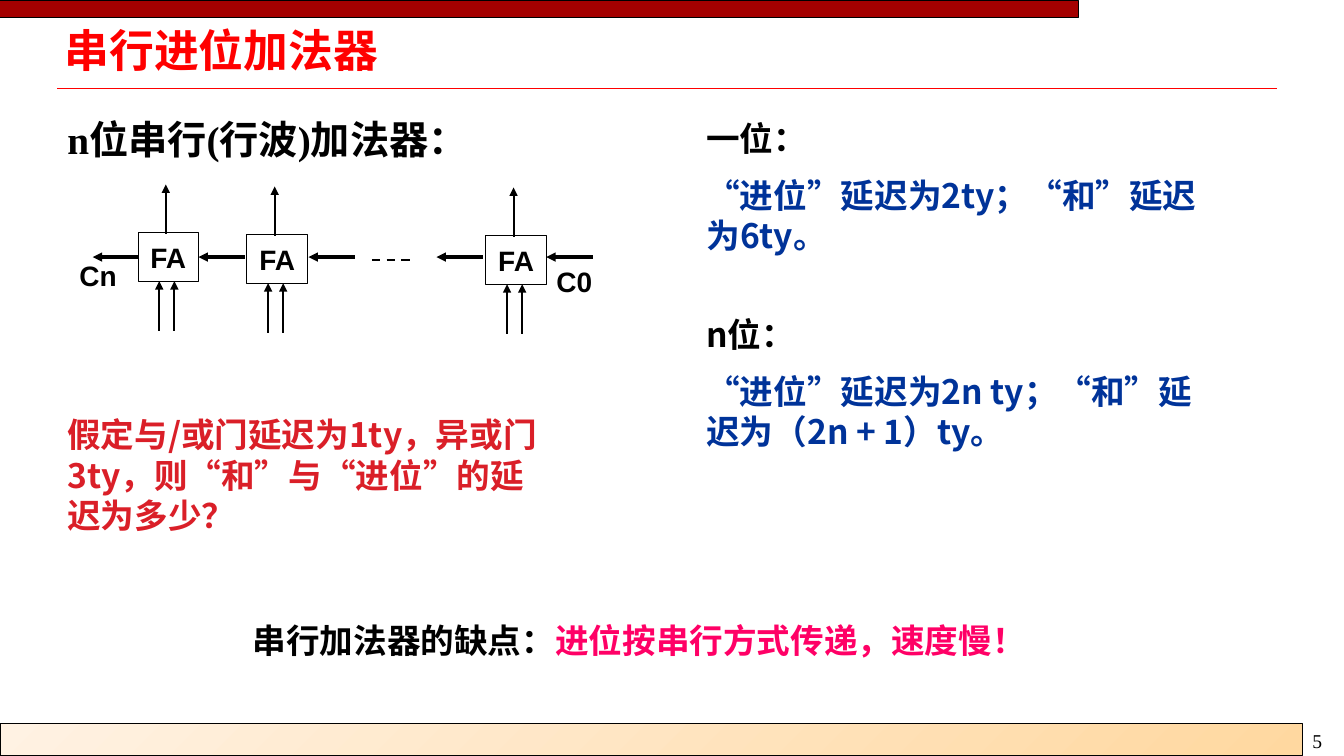
from dataclasses import dataclass

from lxml import etree
from pptx import Presentation
from pptx.dml.color import RGBColor
from pptx.enum.dml import MSO_LINE
from pptx.enum.shapes import MSO_CONNECTOR, MSO_SHAPE
from pptx.enum.text import MSO_ANCHOR, PP_ALIGN
from pptx.oxml.ns import qn
from pptx.util import Inches, Pt

STRAIGHT = MSO_CONNECTOR.STRAIGHT
RECTANGLE = MSO_SHAPE.RECTANGLE
DASH = MSO_LINE.DASH
TOP, MIDDLE = MSO_ANCHOR.TOP, MSO_ANCHOR.MIDDLE
LEFT, CENTER = PP_ALIGN.LEFT, PP_ALIGN.CENTER

COLUMNS, ROWS = 133.33, 75


def grid(count):
    """Length of a number of grid cells, each a tenth of an inch."""
    return Inches(count / 10)


@dataclass(frozen=True)
class Theme:
    chinese: str = "Noto Sans CJK SC"
    serif: str = "Times New Roman"
    sans: str = "Arial"
    title_size: int = 32
    heading_size: int = 28
    body_size: int = 24
    label_size: int = 20
    number_size: int = 14
    black: str = "000000"
    white: str = "FFFFFF"
    title: str = "FF0000"
    band: str = "A40000"
    question: str = "DA1F28"
    answer: str = "003399"
    drawback: str = "FF0066"
    footer_light: str = "FFF2E3"
    footer_dark: str = "FFD8A0"


THEME = Theme()


@dataclass(frozen=True)
class Box:
    left: float
    top: float
    width: float
    height: float

    def inner(self, left, top, width, height):
        return Box(self.left + left, self.top + top, width, height)

    def lengths(self):
        return [grid(n) for n in (self.left, self.top, self.width, self.height)]


def color(value):
    return RGBColor.from_string(value)


def add_rectangle(slide, box, fill):
    shape = slide.shapes.add_shape(RECTANGLE, *box.lengths())
    shape.shadow.inherit = False
    shape.fill.solid()
    shape.fill.fore_color.rgb = color(fill)
    shape.line.color.rgb = color(THEME.black)
    shape.line.width = Pt(0.75)
    return shape


def add_line(slide, start, end, width, line_color=THEME.black, arrow=False):
    line = slide.shapes.add_connector(STRAIGHT, *map(grid, start + end))
    line.line.color.rgb = color(line_color)
    line.line.width = Pt(width)
    properties = line._element.spPr
    if arrow:
        etree.SubElement(properties.find(qn("a:ln")), qn("a:tailEnd"), type="triangle")
    etree.SubElement(properties, qn("a:effectLst"))
    return line


def write(shape, paragraphs, size, font=THEME.chinese, bold=True, align=LEFT,
          anchor=TOP, spacing=None, gap=0, wrap=True):
    """Fill a shape with paragraphs, each a list of (text, color) runs."""
    frame = shape.text_frame
    frame.word_wrap = wrap
    frame.vertical_anchor = anchor
    for index, runs in enumerate(paragraphs):
        paragraph = frame.add_paragraph() if index else frame.paragraphs[0]
        paragraph.alignment = align
        paragraph.line_spacing = spacing
        paragraph.space_before = Pt(gap if index else 0)
        paragraph.font.size = Pt(size)
        paragraph.font.name = font
        paragraph.font.bold = bold
        for text, text_color in runs:
            run = paragraph.add_run()
            run.text = text
            run.font.color.rgb = color(text_color)
            etree.SubElement(run._r.rPr, qn("a:ea"), typeface=THEME.chinese)


def add_text(slide, box, paragraphs, size, **options):
    shape = slide.shapes.add_textbox(*box.lengths())
    write(shape, paragraphs, size, **options)
    return shape


def add_body(slide, box, paragraphs):
    add_text(slide, box, paragraphs, THEME.body_size,
             spacing=Pt(THEME.body_size * 1.2), gap=THEME.body_size / 2)


def add_header(slide, box):
    add_rectangle(slide, box.inner(0, 0.1, 107, 1.6), THEME.band)
    rule = box.top + box.height
    add_line(slide, (5.7, rule), (126.7, rule), 1, THEME.title)
    title = add_text(slide, box.inner(5.7, 2.7, 118.7, 5.2),
                     [[("串行进位加法器", THEME.title)]],
                     THEME.title_size, spacing=0.87)
    frame = title.text_frame
    frame.margin_left = frame.margin_right = grid(0.7)
    frame.margin_top = frame.margin_bottom = grid(0.3)


def add_footer(slide, box):
    bar_width = 129.2
    bar = add_rectangle(slide, box.inner(0, 0, bar_width, box.height), THEME.footer_dark)
    bar.fill.gradient()
    for stop, stop_color in zip(bar.fill.gradient_stops,
                                (THEME.footer_dark, THEME.footer_light)):
        stop.color.rgb = color(stop_color)
    gradient = bar._element.spPr.find(qn("a:gradFill"))
    circle = etree.Element(qn("a:path"), {"path": "circle"})
    etree.SubElement(circle, qn("a:fillToRect"), l="100000", t="100000")
    gradient.replace(gradient.find(qn("a:lin")), circle)
    add_text(slide, box.inner(bar_width, 0, 4.3, 3.4), [[("5", THEME.black)]],
             THEME.number_size, font=THEME.serif, bold=False, wrap=False)


def add_full_adder(slide, box):
    """One adder with its sum output above and two inputs below."""
    shape = add_rectangle(slide, box, THEME.white)
    write(shape, [[("FA", THEME.black)]], THEME.label_size,
          font=THEME.sans, align=CENTER, anchor=MIDDLE)
    sum_x, bottom = box.left + 2.75, box.top + box.height
    add_line(slide, (sum_x, box.top + 0.1), (sum_x, box.top - 4.8), 1.5, arrow=True)
    for offset in (2.1, 3.6):
        x = box.left + offset
        add_line(slide, (x, bottom + 4.9), (x, bottom), 1.5, arrow=True)


def add_ripple_adder(slide, box):
    add_text(slide, box.inner(0, 0, 48.4, 5.7),
             [[("n位串行(行波)加法器：", THEME.black)]],
             THEME.heading_size, font=THEME.serif,
             spacing=Pt(THEME.heading_size * 1.2))
    for left, top in ((8, 12.1), (18.8, 12.3), (42.5, 12.4)):
        add_full_adder(slide, box.inner(left, top, 6, 4.8))
    carry_y = box.top + 14.5
    for offset in (3.5, 14, 24.9, 37.6, 48.5):
        x = box.left + offset
        add_line(slide, (x + 4.6, carry_y), (x, carry_y), 2.25, arrow=True)
    gap_y = box.top + 14.8
    skipped = add_line(slide, (box.left + 31.2, gap_y), (box.left + 35.4, gap_y), 1.5)
    skipped.line.dash_style = DASH
    for label, left, top in (("Cn", 1.2, 14.2), ("C0", 48.5, 14.7)):
        add_text(slide, box.inner(left, top, 6.1, 4.3), [[(label, THEME.black)]],
                 THEME.label_size, font=THEME.sans)


def add_delay_answers(slide, box):
    answers = (
        ("一位：", "“进位”延迟为2ty；“和”延迟为6ty。"),
        ("n位：", "“进位”延迟为2n ty；“和”延迟为（2n + 1）ty。"),
    )
    for index, (case, delay) in enumerate(answers):
        add_body(slide, box.inner(0, index * 19.4, box.width, 15.1),
                 [[(case, THEME.black)], [(delay, THEME.answer)]])


def build_slide(presentation):
    slide = presentation.slides.add_slide(presentation.slide_layouts[6])
    add_header(slide, Box(0, 0, COLUMNS, 8.8))
    add_footer(slide, Box(0, ROWS - 3.2, COLUMNS, 3.2))
    add_ripple_adder(slide, Box(5.7, 11, 54.6, 22.2))
    add_body(slide, Box(5.7, 40.6, 49.4, 13.1), [[
        ("假定与/或门延迟为1ty，异或门3ty，则“和”与“进位”的延迟为多少？", THEME.question)]])
    add_delay_answers(slide, Box(69.1, 11.2, 52, 34.5))
    add_body(slide, Box(24.1, 61, 97, 5), [[
        ("串行加法器的缺点：", THEME.black),
        ("进位按串行方式传递，速度慢！", THEME.drawback)]])


def main():
    presentation = Presentation()
    presentation.slide_width = grid(COLUMNS)
    presentation.slide_height = grid(ROWS)
    build_slide(presentation)
    presentation.save("out.pptx")


if __name__ == "__main__":
    main()
